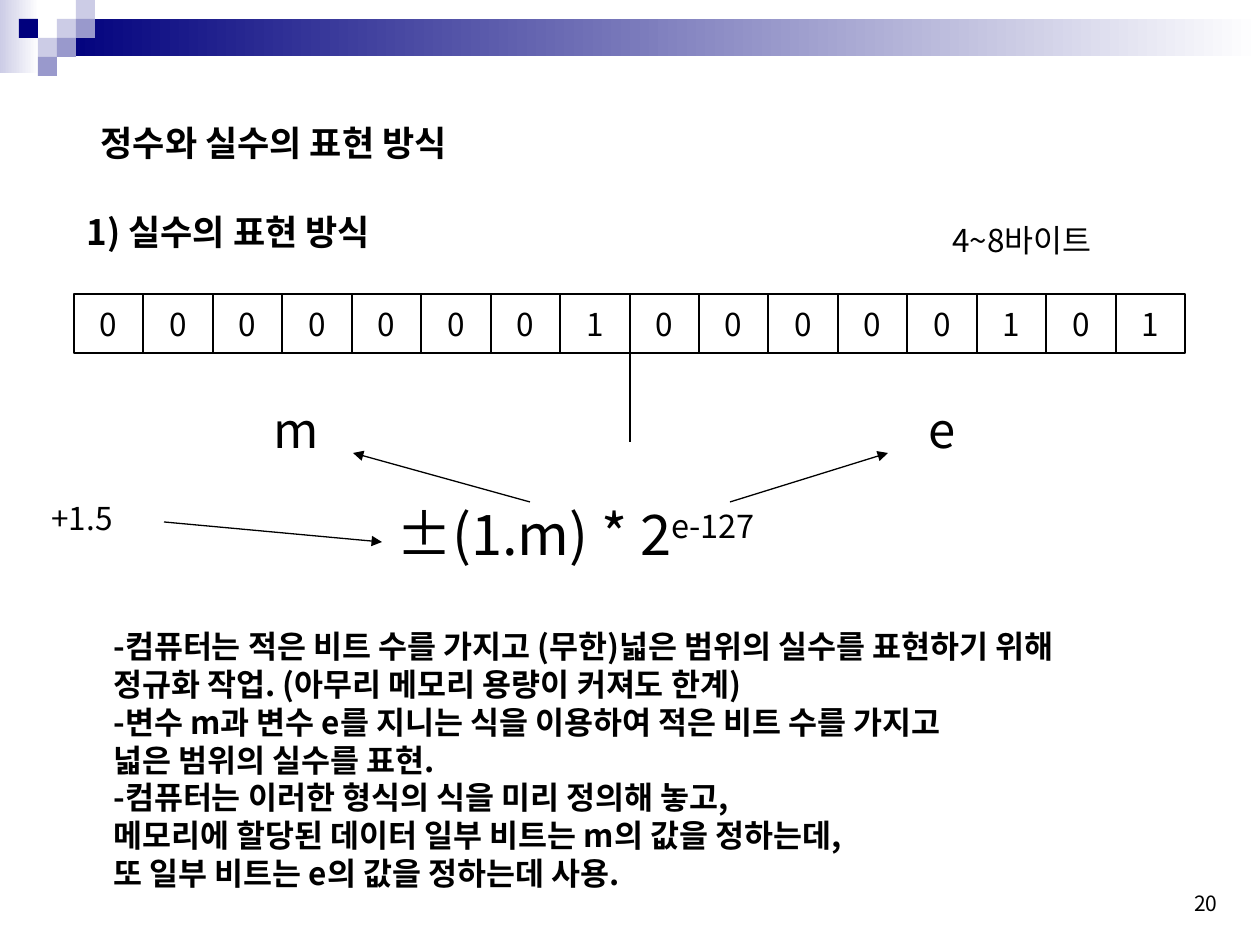
from dataclasses import dataclass

from lxml.etree import SubElement
from pptx import Presentation
from pptx.dml.color import RGBColor
from pptx.enum.shapes import MSO_CONNECTOR, MSO_SHAPE
from pptx.enum.text import MSO_ANCHOR, MSO_AUTO_SIZE, PP_ALIGN
from pptx.oxml.ns import qn
from pptx.util import Emu, Pt


@dataclass(frozen=True)
class Theme:
    """Colours, font and type sizes of the slide."""
    font: str = "Noto Sans CJK KR"
    ink: RGBColor = RGBColor(0, 0, 0)
    paper: RGBColor = RGBColor(255, 255, 255)
    navy: RGBColor = RGBColor(0x00, 0x00, 0x7D)
    lilac: RGBColor = RGBColor(0x99, 0x99, 0xCC)
    pale: RGBColor = RGBColor(0xCC, 0xCC, 0xE6)
    formula: int = 32
    symbol: int = 28
    heading: int = 20
    body: int = 18
    number: int = 12
    line: float = 0.75


THEME = Theme()
PX_PER_INCH = 126
BITS = "0000000100000101"
EXPLANATION = [
    "-컴퓨터는 적은 비트 수를 가지고 (무한)넓은 범위의 실수를 표현하기 위해",
    "정규화 작업. (아무리 메모리 용량이 커져도 한계)",
    "-변수 m과 변수 e를 지니는 식을 이용하여 적은 비트 수를 가지고",
    "넓은 범위의 실수를 표현.",
    "-컴퓨터는 이러한 형식의 식을 미리 정의해 놓고,",
    "메모리에 할당된 데이터 일부 비트는 m의 값을 정하는데,",
    "또 일부 비트는 e의 값을 정하는데 사용.",
]


def px(*lengths):
    """Turn pixel lengths into EMU."""
    return [Emu(round(length * 914400 / PX_PER_INCH)) for length in lengths]


def style_paragraph(para, size, bold=False, align=PP_ALIGN.LEFT):
    """Set alignment and the Latin and East Asian font of a paragraph."""
    para.alignment = align
    font = para.font
    font.name, font.size, font.bold = THEME.font, Pt(size), bold
    font.color.rgb = THEME.ink
    defaults = para._p.pPr.find(qn("a:defRPr"))
    SubElement(defaults, qn("a:ea"), typeface=THEME.font)


def write_text(box, lines, size, bold=False, align=PP_ALIGN.LEFT,
               anchor=MSO_ANCHOR.TOP, grow=True, wrap=False):
    """Fill a shape with uniformly styled paragraphs."""
    frame = box.text_frame
    frame.text = "\n".join(lines)
    frame.word_wrap = wrap
    frame.vertical_anchor = anchor
    frame.auto_size = MSO_AUTO_SIZE.SHAPE_TO_FIT_TEXT if grow else MSO_AUTO_SIZE.NONE
    for para in frame.paragraphs:
        style_paragraph(para, size, bold, align)


def add_text(page, bounds, lines, size, **options):
    """Add a text box."""
    box = page.shapes.add_textbox(*px(*bounds))
    write_text(box, lines, size, **options)
    return box


def set_title(page, bounds, text):
    """Place and format the title placeholder."""
    title = page.shapes.title
    title.left, title.top, title.width, title.height = px(*bounds)
    write_text(title, [text], THEME.heading, bold=True)


def add_block(page, bounds, color, fade=False):
    """Add a borderless rectangle, optionally fading to paper."""
    block = page.shapes.add_shape(MSO_SHAPE.RECTANGLE, *px(*bounds))
    block.shadow.inherit = False
    block.line.fill.background()
    if fade:
        block.fill.gradient()
        block.fill.gradient_angle = 0
        for stop, stop_color in zip(block.fill.gradient_stops, (color, THEME.paper)):
            stop.color.rgb = stop_color
    else:
        block.fill.solid()
        block.fill.fore_color.rgb = color
    return block


def add_banner(page):
    """Draw the fading bars and the mosaic of squares at the top."""
    side = 19
    add_block(page, (0, 0, 39, 73), THEME.pale, fade=True)
    add_block(page, (3 * side, side, 1203, 37), THEME.navy, fade=True)
    mosaic = [
        (3, 1, THEME.pale), (4, 0, THEME.pale), (4, 1, THEME.lilac),
        (2, 2, THEME.pale), (1, 1, THEME.navy), (3, 2, THEME.lilac),
        (2, 3, THEME.lilac),
    ]
    for column, row, color in mosaic:
        add_block(page, (column * side, row * side, side, side), color)


def add_bit_row(page, left, top, width, height):
    """Draw one bordered cell for each bit."""
    edges = [left + round(width * i / len(BITS)) for i in range(len(BITS) + 1)]
    for bit, start, end in zip(BITS, edges, edges[1:]):
        cell = add_block(page, (start, top, end - start, height), THEME.paper)
        cell.line.color.rgb = THEME.ink
        cell.line.width = Pt(THEME.line)
        write_text(cell, [bit], THEME.body, align=PP_ALIGN.CENTER,
                   anchor=MSO_ANCHOR.MIDDLE, grow=False)


def add_line(page, start, end, arrow=True):
    """Add a thin straight line, with an arrowhead at its end if asked."""
    line = page.shapes.add_connector(MSO_CONNECTOR.STRAIGHT, *px(*start, *end))
    line.line.color.rgb = THEME.ink
    line.line.width = Pt(THEME.line)
    if arrow:
        SubElement(line.line._get_or_add_ln(), qn("a:tailEnd"), type="triangle")
    SubElement(line._element.spPr, qn("a:effectLst"))


def add_formula(page, bounds):
    """Add the normalised form with its raised exponent."""
    box = add_text(page, bounds, ["±(1.m) * 2"], THEME.formula)
    exponent = box.text_frame.paragraphs[0].add_run()
    exponent.text = "e-127"
    exponent._r.get_or_add_rPr().set("baseline", "30000")


def main():
    """Build and save the slide."""
    deck = Presentation()
    deck.slide_width, deck.slide_height = px(1260, 945)
    page = deck.slides.add_slide(deck.slide_layouts[5])

    add_banner(page)
    set_title(page, (88, 115, 401, 55), "정수와 실수의 표현 방식")
    add_text(page, (74, 204, 358, 55), ["1) 실수의 표현 방식"], THEME.heading, bold=True)
    add_text(page, (940, 215, 176, 50), ["4~8바이트"], THEME.body, wrap=True)

    add_bit_row(page, 74, 294, 1111, 59)
    add_line(page, (630, 294), (630, 442), arrow=False)
    for left, symbol in ((261, "m"), (916, "e")):
        add_text(page, (left, 393, 54, 72), [symbol], THEME.symbol)

    add_formula(page, (384, 493, 460, 81))
    add_text(page, (39, 493, 101, 50), ["+1.5"], THEME.body, wrap=True)
    add_line(page, (164, 522), (382, 542))
    add_line(page, (530, 502), (353, 453))
    add_line(page, (730, 502), (888, 453))

    add_text(page, (101, 621, 1101, 277), EXPLANATION, THEME.body, bold=True)
    add_text(page, (907, 859, 323, 63), ["20"], THEME.number, align=PP_ALIGN.RIGHT,
             anchor=MSO_ANCHOR.BOTTOM, grow=False, wrap=True)
    deck.save("out.pptx")


if __name__ == "__main__":
    main()
